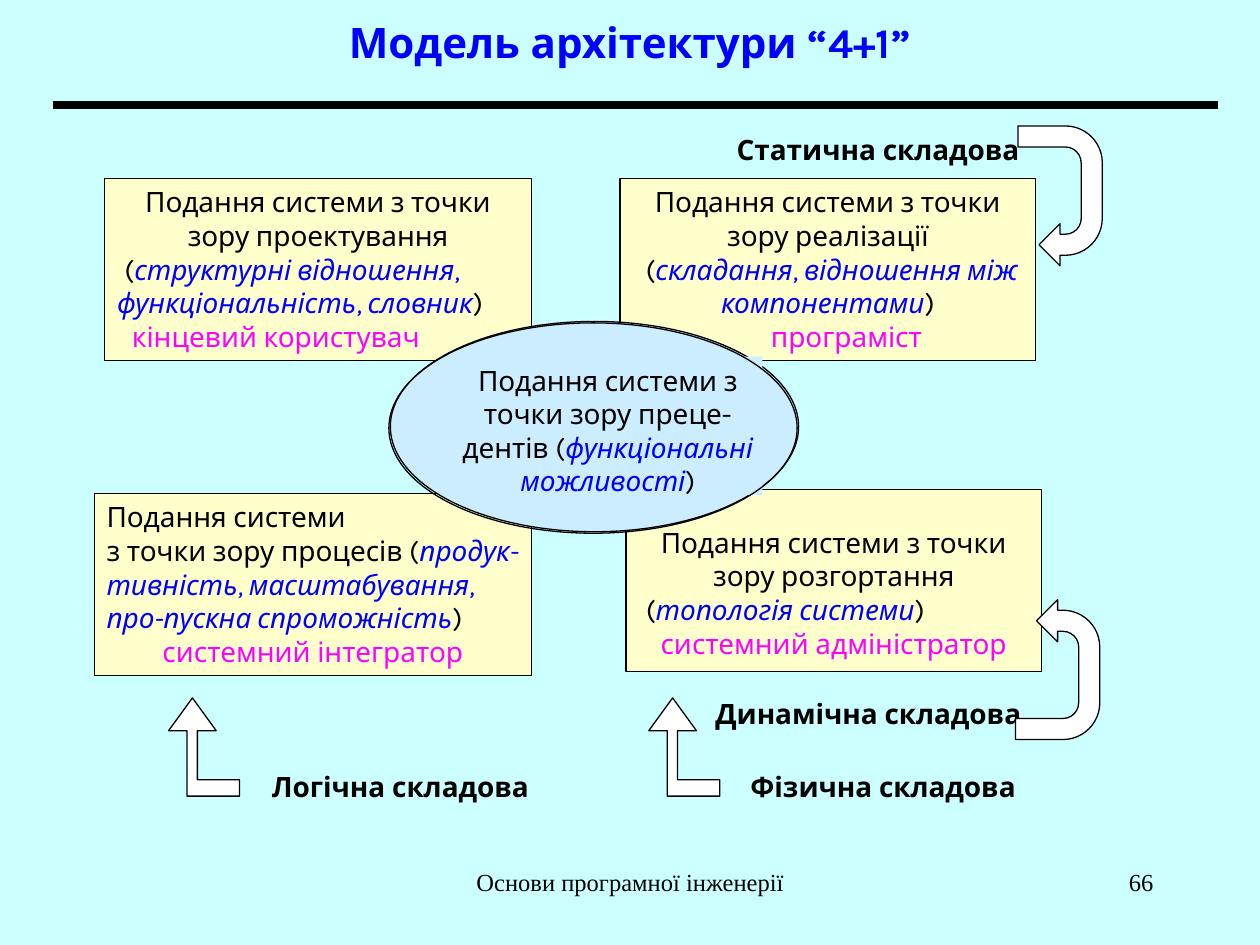
from lxml import etree
from pptx import Presentation
from pptx import util as u
from pptx.dml.color import RGBColor
from pptx.enum import shapes, text
from pptx.oxml.ns import qn

BACKGROUND, NOTE, CENTRE = "CCFFFF", "FFFFCC", "CCECFF"
BLACK, WHITE, BLUE, MAGENTA = "000000", "FFFFFF", "0000FF", "FF00FF"
SHAPE = shapes.MSO_SHAPE
ALIGN = text.PP_ALIGN
SPACE = 0.15

PLAIN = {"name": "Karla", "size": u.Pt(16), "color": BLACK}
DETAIL = PLAIN | {"color": BLUE, "italic": True}
ROLE = PLAIN | {"color": MAGENTA}
LABEL = PLAIN | {"bold": True}
TITLE = LABEL | {"size": u.Pt(24), "color": BLUE}
FOOTER = PLAIN | {"name": "Times New Roman", "size": u.Pt(14)}


def rgb(value):
    return RGBColor.from_string(value)


def lengths(box):
    return [u.Cm(value) for value in box]


def style(shape, fill=None, line=None):
    shape.shadow.inherit = False
    if fill:
        shape.fill.solid()
        shape.fill.fore_color.rgb = rgb(fill)
    else:
        shape.fill.background()
    if line:
        shape.line.color.rgb = rgb(line)
        shape.line.width = u.Pt(0.75)
    else:
        shape.line.fill.background()


def write(shape, paragraphs, **frame_format):
    """Each paragraph is (alignment, first-line indent in cm, [(words, format), ...])."""
    frame = shape.text_frame
    settings = {"word_wrap": True, "vertical_anchor": text.MSO_ANCHOR.TOP,
                "margin_left": u.Cm(0.25), "margin_right": u.Cm(0.25),
                "margin_top": u.Cm(0.13), "margin_bottom": u.Cm(0.13)}
    for name, value in (settings | frame_format).items():
        setattr(frame, name, value)
    for index, (alignment, indent, runs) in enumerate(paragraphs):
        paragraph = frame.add_paragraph() if index else frame.paragraphs[0]
        paragraph.alignment = alignment
        if indent:
            paragraph._p.get_or_add_pPr().set("indent", str(u.Cm(indent)))
        for words, run_format in runs:
            run = paragraph.add_run()
            run.text = words
            for name, value in run_format.items():
                if name == "color":
                    run.font.color.rgb = rgb(value)
                else:
                    setattr(run.font, name, value)


def add_preset(slide, kind, box, fill=None, line=None):
    shape = slide.shapes.add_shape(kind, *lengths(box))
    style(shape, fill, line)
    return shape


def add_text(slide, box, words, run_format, alignment, **frame_format):
    shape = slide.shapes.add_textbox(*lengths(box))
    write(shape, [(alignment, 0, [(words, run_format)])], **frame_format)


def add_header(slide, box):
    left, top, width, height = box
    add_text(slide, (left + 0.84, top, width - 1.9, height - 0.41),
             "Модель архітектури “4+1”", TITLE, ALIGN.CENTER,
             vertical_anchor=text.MSO_ANCHOR.MIDDLE)
    rule = slide.shapes.add_connector(
        shapes.MSO_CONNECTOR.STRAIGHT,
        *lengths((left, top + height, left + width, top + height)))
    rule.line.color.rgb = rgb(BLACK)
    rule.line.width = u.Pt(4.5)
    etree.SubElement(rule._element.spPr, qn("a:effectLst"))


def add_view(slide, box, paragraphs, **frame_format):
    shape = add_preset(slide, SHAPE.RECTANGLE, box, NOTE, BLACK)
    write(shape, paragraphs, **frame_format)


def add_label(slide, box, words):
    shape = add_preset(slide, SHAPE.RECTANGLE, box, BACKGROUND)
    write(shape, [(ALIGN.LEFT, 0, [(words, LABEL)])])


def add_uturn(slide, box, rotation, flipped=False):
    arrow = add_preset(slide, SHAPE.U_TURN_ARROW, box, WHITE, BLACK)
    arrow.rotation = rotation
    if flipped:
        arrow._element.spPr.xfrm.set("flipV", "1")


def add_bent_arrow(slide, box):
    left, top, width, height = box
    head, shaft_left, shaft_right = 0.66, 0.37, 0.58
    points = [(width, 1.65), (shaft_right, 1.65), (shaft_right, head), (0.96, head),
              (0.48, 0), (0, head), (shaft_left, head), (shaft_left, height),
              (width, height)]
    start, *others = [(u.Cm(left + x), u.Cm(top + y)) for x, y in points]
    builder = slide.shapes.build_freeform(*start)
    builder.add_line_segments(others, close=True)
    style(builder.convert_to_shape(), WHITE, BLACK)


def add_centre_view(slide, box):
    left, top, width, height = box
    add_preset(slide, SHAPE.OVAL, box, CENTRE, BLACK)
    caption = add_preset(slide, SHAPE.RECTANGLE,
                         (left + 1.02, top + 0.71, 6.48, 2.79), CENTRE)
    write(caption, [(ALIGN.CENTER, 0, [
        ("Подання системи з точки зору преце-дентів (", PLAIN),
        ("функціональні можливості", DETAIL), (")", PLAIN)])], margin_right=0)
    add_preset(slide, SHAPE.OVAL, (left - 0.03, top + 0.03, width, height), None, BLACK)


def add_footer(slide, box):
    left, top, width, height = box
    add_text(slide, (left, top, 8.05, height), "Основи програмної інженерії",
             FOOTER, ALIGN.CENTER)
    add_text(slide, (left + width - 5.28, top, 5.28, height), "66", FOOTER, ALIGN.RIGHT)


def add_diagram(slide):
    add_view(slide, (2.11, 3.6, 8.61, 3.67), [
        (ALIGN.CENTER, 0, [("Подання системи з точки зору проектування", PLAIN)]),
        (ALIGN.LEFT, SPACE, [("(", PLAIN),
                             ("структурні відношення, функціональність, словник", DETAIL),
                             (")", PLAIN)]),
        (ALIGN.LEFT, 2 * SPACE, [("кінцевий користувач", ROLE)])])
    add_view(slide, (1.9, 9.95, 8.82, 3.67), [
        (ALIGN.LEFT, 0, [("Подання системи", PLAIN)]),
        (ALIGN.LEFT, 0, [("з точки зору процесів (", PLAIN),
                         ("продук-тивність, масштабування, про-пускна спроможність", DETAIL),
                         (")", PLAIN)]),
        (ALIGN.CENTER, 0, [("системний інтегратор", ROLE)])])
    add_view(slide, (12.62, 9.87, 8.38, 3.67), [
        (ALIGN.CENTER, 0, [("Подання системи з точки зору розгортання", PLAIN)]),
        (ALIGN.JUSTIFY, SPACE, [("(", PLAIN), ("топологія системи", DETAIL), (")", PLAIN)]),
        (ALIGN.CENTER, 0, [("системний адміністратор", ROLE)])], margin_top=u.Cm(0.72))

    for box, words in [((5.23, 15.39, 5.99, 1.12), "Логічна складова"),
                       ((14.88, 15.39, 6.07, 1.12), "Фізична складова"),
                       ((14.17, 13.92, 6.78, 1.17), "Динамічна складова"),
                       ((14.6, 2.54, 6.78, 1.12), "Статична складова")]:
        add_label(slide, box, words)

    add_uturn(slide, (19.96, 3.1, 2.82, 1.7), 90)
    add_uturn(slide, (19.91, 12.65, 2.82, 1.7), 270, flipped=True)
    for left in (3.4, 13.08):
        add_bent_arrow(slide, (left, 14.07, 1.43, 1.98))

    add_view(slide, (12.5, 3.6, 8.38, 3.67), [
        (ALIGN.CENTER, 0, [("Подання системи з точки зору реалізації", PLAIN)]),
        (ALIGN.CENTER, SPACE, [("(", PLAIN),
                               ("складання, відношення між компонентами", DETAIL),
                               (")", PLAIN)]),
        (ALIGN.CENTER, 5 * SPACE, [("програміст", ROLE)])])
    add_centre_view(slide, (7.87, 6.48, 8.23, 4.24))


def main():
    presentation = Presentation()
    presentation.slide_width, presentation.slide_height = u.Cm(25.4), u.Cm(19.05)
    slide = presentation.slides.add_slide(presentation.slide_layouts[6])
    slide.background.fill.solid()
    slide.background.fill.fore_color.rgb = rgb(BACKGROUND)
    add_header(slide, (1.06, 0, 23.5, 2.11))
    add_diagram(slide)
    add_footer(slide, (8.68, 17.35, 14.82, 1.27))
    presentation.save("out.pptx")


if __name__ == "__main__":
    main()
